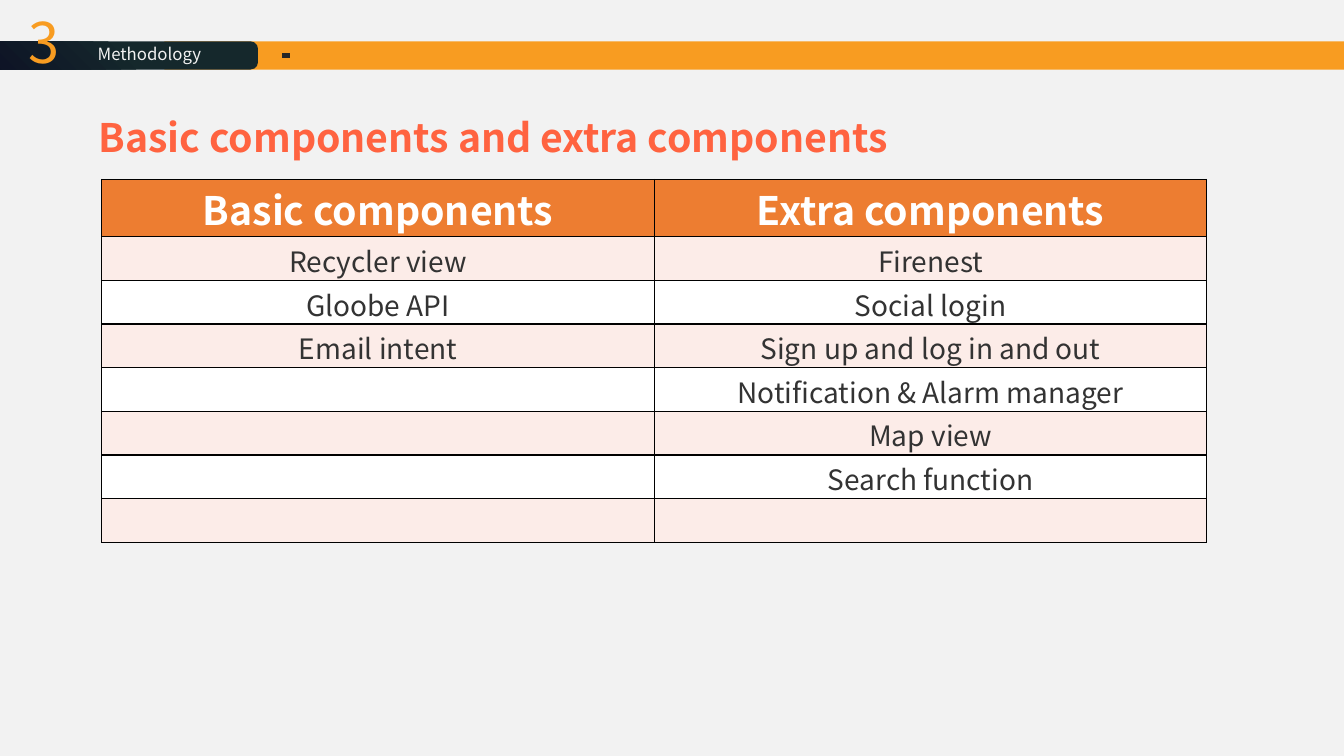
from lxml.etree import SubElement
from pptx import Presentation
from pptx.dml.color import RGBColor
from pptx.enum.shapes import MSO_CONNECTOR, MSO_SHAPE
from pptx.enum.text import MSO_ANCHOR, PP_ALIGN
from pptx.oxml import parse_xml
from pptx.oxml.ns import nsdecls, qn
from pptx.util import Inches, Pt

TITLE = "Basic components and extra components"
SECTION_NUMBER = "3"
SECTION_NAME = "Methodology"
ROWS = [
    ("Basic components", "Extra components"),
    ("Recycler view", "Firenest"),
    ("Gloobe API", "Social login"),
    ("Email intent", "Sign up and log in and out"),
    ("", "Notification & Alarm manager"),
    ("", "Map view"),
    ("", "Search function"),
    ("", ""),
]
FONT = "Noto Sans CJK KR"
PAPER = RGBColor(0xF2, 0xF2, 0xF2)
AMBER = RGBColor(0xF8, 0x9C, 0x21)
TEAL = RGBColor(0x15, 0x28, 0x2C)
NAVY = RGBColor(0x0D, 0x12, 0x25)
DASH = RGBColor(0x26, 0x26, 0x26)
CORAL = RGBColor(0xFF, 0x63, 0x40)
ORANGE = RGBColor(0xED, 0x7D, 0x31)
BLUSH = RGBColor(0xFC, 0xEC, 0xE8)
WHITE = RGBColor(0xFF, 0xFF, 0xFF)
INK = RGBColor(0x33, 0x33, 0x33)

TABLE_LEFT, TABLE_TOP, TABLE_WIDTH, TABLE_HEIGHT = 1.01, 1.78, 10.96, 3.6
HEADER_HEIGHT = 0.57


def style(p, size, color, bold=False, align=PP_ALIGN.LEFT):
    p.alignment = align
    p.font.name = FONT
    p.font.size = Pt(size)
    p.font.bold = bold
    p.font.color.rgb = color


def add_bar(s, left, width, radius):
    sp = s.shapes.add_shape(MSO_SHAPE.ROUNDED_RECTANGLE, Inches(left),
                            Inches(0.41), Inches(width), Inches(0.28))
    sp.adjustments[0] = radius
    sp.shadow.inherit = False
    sp.line.fill.background()
    return sp


def add_label(s, text, box, size, color, wrap):
    sp = s.shapes.add_textbox(*map(Inches, box))
    tf = sp.text_frame
    tf.word_wrap = wrap
    tf.text = text
    style(tf.paragraphs[0], size, color)


def add_borders(cell):
    tc_pr = cell._tc.get_or_add_tcPr()
    for i, side in enumerate(("lnL", "lnR", "lnT", "lnB")):
        tc_pr.insert(i, parse_xml(
            f'<a:{side} {nsdecls("a")} w="12700"><a:solidFill>'
            f'<a:srgbClr val="000000"/></a:solidFill></a:{side}>'))


def add_components(s):
    frame = s.shapes.add_table(len(ROWS), 2, Inches(TABLE_LEFT), Inches(TABLE_TOP),
                               Inches(TABLE_WIDTH), Inches(TABLE_HEIGHT))
    table = frame.table
    for column in table.columns:
        column.width = Inches(TABLE_WIDTH / 2)
    body_height = (TABLE_HEIGHT - HEADER_HEIGHT) / (len(ROWS) - 1)
    for r, texts in enumerate(ROWS):
        header = r == 0
        table.rows[r].height = Inches(HEADER_HEIGHT if header else body_height)
        for c, text in enumerate(texts):
            cell = table.cell(r, c)
            cell.text = text
            cell.vertical_anchor = MSO_ANCHOR.MIDDLE
            cell.margin_top = Inches(0 if header else 0.03)
            cell.margin_bottom = 0
            cell.fill.solid()
            cell.fill.fore_color.rgb = ORANGE if header else BLUSH if r % 2 else WHITE
            style(cell.text_frame.paragraphs[0], 28 if header else 20,
                  WHITE if header else INK, header, PP_ALIGN.CENTER)
            add_borders(cell)


def main():
    prs = Presentation()
    prs.slide_width, prs.slide_height = Inches(13.33), Inches(7.5)
    s = prs.slides.add_slide(prs.slide_layouts[5])
    s.background.fill.solid()
    s.background.fill.fore_color.rgb = PAPER

    band = add_bar(s, 1.63, 11.7, 0)
    band.fill.solid()
    band.fill.fore_color.rgb = AMBER
    tab = add_bar(s, -0.14, 2.7, 0.27)
    tab.fill.gradient()
    tab.fill.gradient_angle = 225
    for stop, position, color in zip(tab.fill.gradient_stops, (0.45, 1), (TEAL, NAVY)):
        stop.position = position
        stop.color.rgb = color

    dash = s.shapes.add_connector(MSO_CONNECTOR.STRAIGHT, Inches(2.8), Inches(0.55),
                                  Inches(2.88), Inches(0.55))
    dash.line.color.rgb = DASH
    dash.line.width = Pt(3)
    SubElement(dash._element.spPr, qn("a:effectLst"))

    add_label(s, SECTION_NUMBER, (0.18, 0.03, 0.51, 0.77), 40, AMBER, False)
    add_components(s)

    title = s.shapes.title
    title.left, title.top, title.width, title.height = map(Inches, (0.88, 1.07, 9.36, 0.57))
    tf = title.text_frame
    tf.text = TITLE
    tf.vertical_anchor = MSO_ANCHOR.MIDDLE
    tf.margin_top = tf.margin_bottom = 0
    style(tf.paragraphs[0], 28, CORAL, True)

    add_label(s, SECTION_NAME, (0.87, 0.38, 1.99, 0.3), 12, PAPER, True)
    prs.save("out.pptx")


if __name__ == "__main__":
    main()
